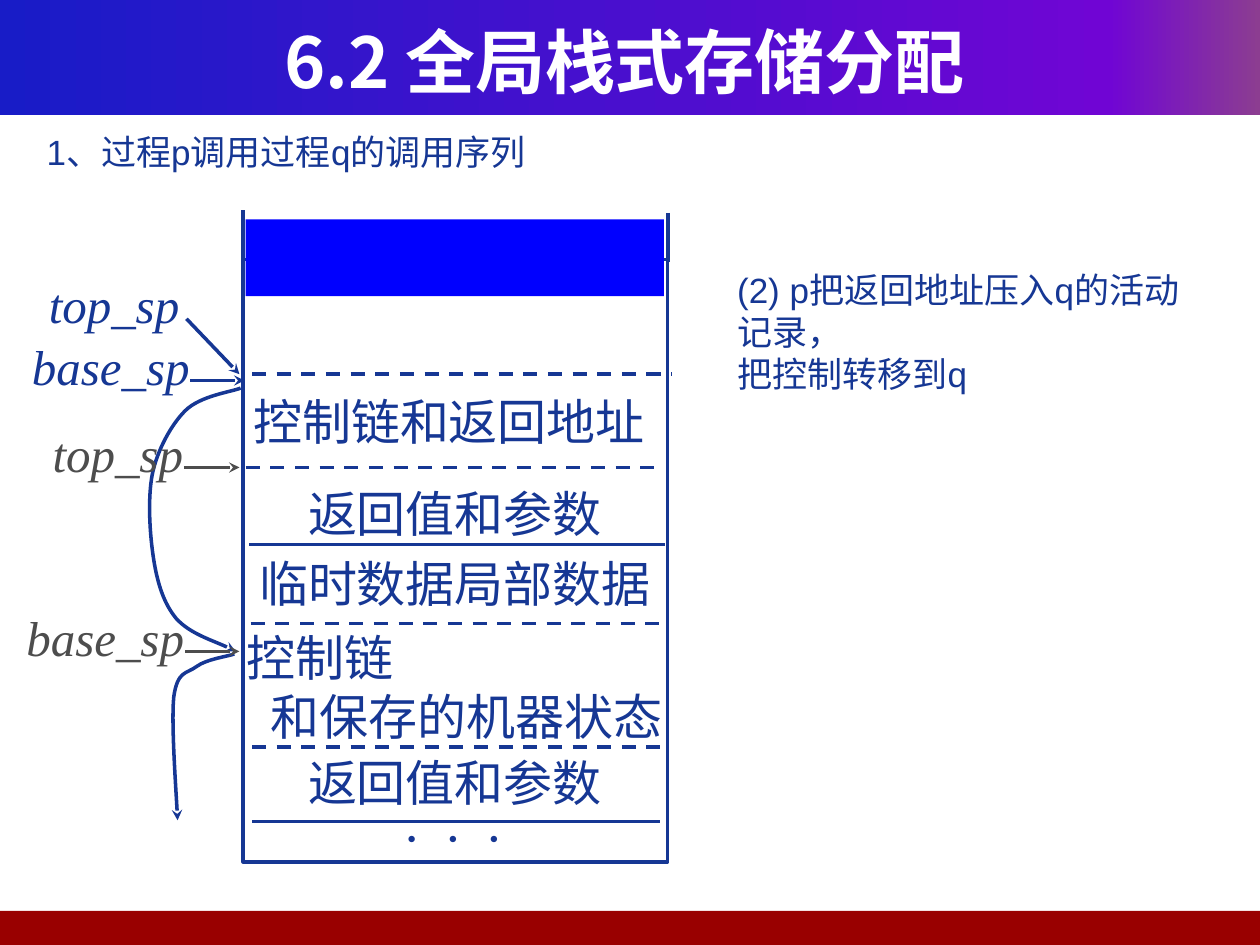
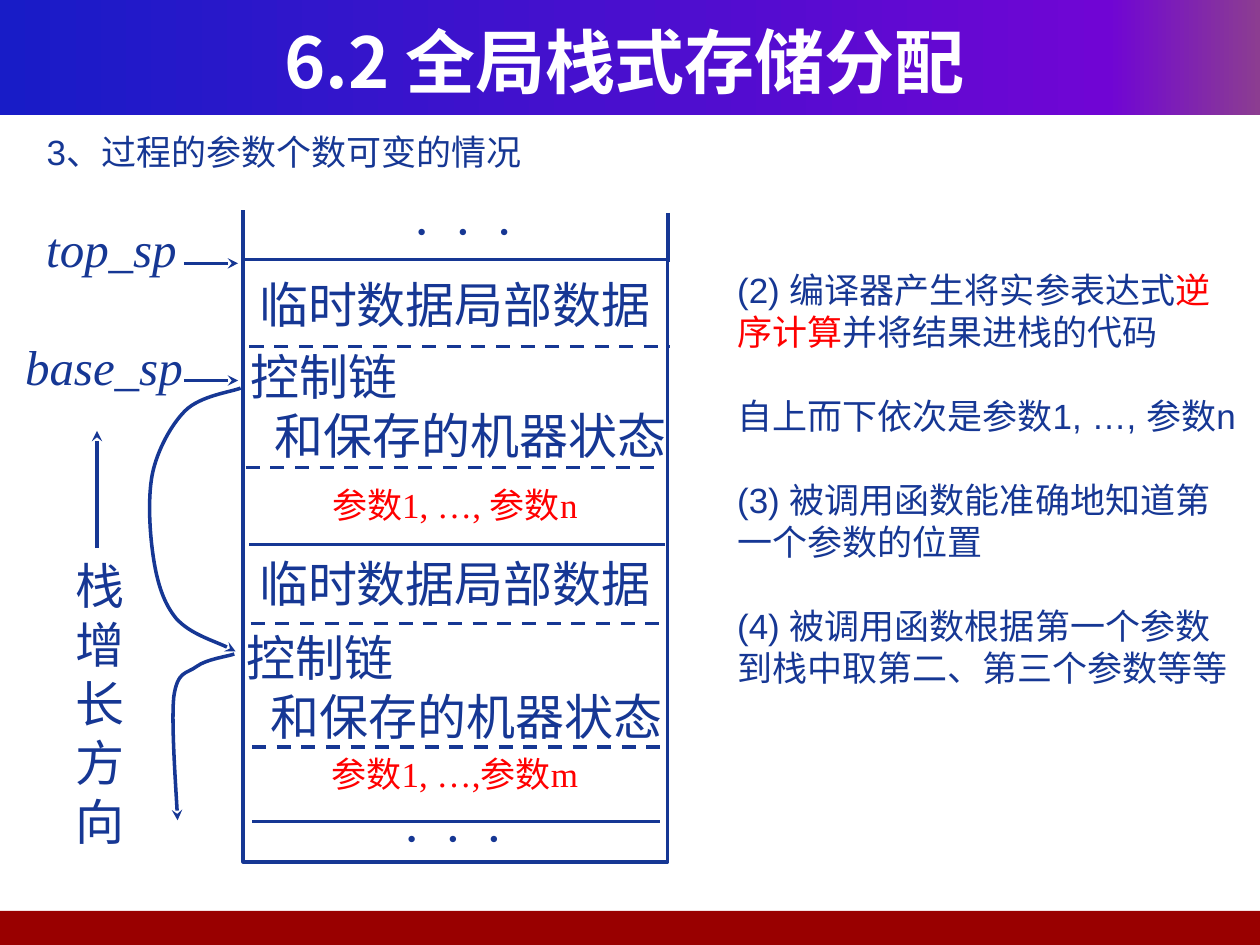
from copy import deepcopy

from lxml import etree
from pptx import Presentation
from pptx.dml.color import RGBColor
from pptx.enum.dml import MSO_LINE
from pptx.enum.shapes import MSO_CONNECTOR, MSO_SHAPE
from pptx.enum.text import MSO_ANCHOR, PP_ALIGN
from pptx.oxml.ns import qn
from pptx.util import Inches, Pt

NAVY = RGBColor(0x16, 0x37, 0x94)
GRAY = RGBColor(0x4D, 0x4D, 0x4D)
RED = RGBColor(0xFF, 0x00, 0x00)
BLUE = RGBColor(0x00, 0x00, 0xFF)
WHITE = RGBColor(0xFF, 0xFF, 0xFF)
FOOTER_RED = RGBColor(0x99, 0x00, 0x00)
HEADER_STOPS = [
    (0, RGBColor(0x18, 0x1C, 0xC7)),
    (0.88, RGBColor(0x70, 0x05, 0xD4)),
    (1, RGBColor(0x8C, 0x3D, 0x91)),
]

SANS = "Arial"
SERIF = "Times New Roman"
CJK = "Noto Sans CJK SC"

LEFT, CENTER, JUSTIFY = PP_ALIGN.LEFT, PP_ALIGN.CENTER, PP_ALIGN.JUSTIFY
MIDDLE, TOP = MSO_ANCHOR.MIDDLE, MSO_ANCHOR.TOP
RECTANGLE = MSO_SHAPE.RECTANGLE
STRAIGHT = MSO_CONNECTOR.STRAIGHT
DASH = MSO_LINE.DASH

LINE_WIDTH = Pt(2)
STACK_LEFT, STACK_RIGHT = 1.93, 5.3
STACK_TOP, STACK_HEIGHT = 2.06, 4.78

LOCALS = "临时数据局部数据"
CONTROL_LINK = ["控制链", "和保存的机器状态"]

# Start point, then three points for each Bezier segment
CALLEE_LINK = [
    (1.91, 3.08),
    (1.84, 3.11), (1.59, 3.14), (1.47, 3.26),
    (1.36, 3.37), (1.25, 3.57), (1.21, 3.76),
    (1.17, 3.96), (1.19, 4.25), (1.22, 4.44),
    (1.25, 4.63), (1.3, 4.79), (1.4, 4.91),
    (1.51, 5.03), (1.77, 5.11), (1.87, 5.17),
]
CALLER_LINK = [
    (1.86, 5.19),
    (1.81, 5.21), (1.64, 5.23), (1.56, 5.29),
    (1.48, 5.35), (1.41, 5.32), (1.38, 5.53),
    (1.36, 5.73), (1.4, 6.3), (1.41, 6.51),
]


def add_rectangle(slide, left, top, width, height, color=None):
    """Filled rectangle, or a navy outline when no colour is given."""
    shape = slide.shapes.add_shape(
        RECTANGLE, Inches(left), Inches(top), Inches(width), Inches(height))
    shape.shadow.inherit = False
    if color is None:
        shape.fill.background()
        shape.line.color.rgb = NAVY
        shape.line.width = LINE_WIDTH
    else:
        shape.fill.solid()
        shape.fill.fore_color.rgb = color
        shape.line.fill.background()
    return shape


def add_text(slide, left, top, width, height, paragraphs, size=28, font=SERIF,
             color=NAVY, align=CENTER, anchor=TOP, inset_top=0.09, wrap=True,
             bold=False, italic=False, gap=0, indent=0, tracking=0):
    """Text box; a paragraph is a string or a list of (text, colour) runs.

    The gap in points and the indent in inches apply after the first paragraph.
    """
    box = slide.shapes.add_textbox(
        Inches(left), Inches(top), Inches(width), Inches(height))
    frame = box.text_frame
    frame.word_wrap = wrap
    frame.vertical_anchor = anchor
    frame.margin_left = frame.margin_right = Inches(0.06)
    frame.margin_top, frame.margin_bottom = Inches(inset_top), Inches(0.05)
    for index, content in enumerate(paragraphs):
        paragraph = frame.add_paragraph() if index else frame.paragraphs[0]
        paragraph.alignment = align
        if index and gap:
            paragraph.space_before = Pt(gap)
        if index and indent:
            paragraph._p.get_or_add_pPr().set("marL", str(Inches(indent)))
        runs = [(content, color)] if isinstance(content, str) else content
        for text, run_color in runs:
            run = paragraph.add_run()
            run.text = text
            run.font.size = Pt(size)
            run.font.name = font
            run.font.bold = bold
            run.font.italic = italic
            run.font.color.rgb = run_color
            properties = run._r.get_or_add_rPr()
            etree.SubElement(properties, qn("a:ea")).set("typeface", CJK)
            if tracking:
                properties.set("spc", str(tracking))
    return box


def add_arrowhead(shape):
    line = shape.line._get_or_add_ln()
    etree.SubElement(line, qn("a:tailEnd")).set("type", "stealth")


def add_line(slide, start, end, color=NAVY, dashed=False, arrow=False):
    line = slide.shapes.add_connector(
        STRAIGHT, *[Inches(value) for value in (*start, *end)])
    line.line.color.rgb = color
    line.line.width = LINE_WIDTH
    if dashed:
        line.line.dash_style = DASH
    if arrow:
        add_arrowhead(line)
    etree.SubElement(line._element.spPr, qn("a:effectLst"))


def add_curve(slide, points):
    """Curved arrow: every three line segments become one Bezier segment."""
    corners = [(Inches(x), Inches(y)) for x, y in points]
    builder = slide.shapes.build_freeform(*corners[0], scale=1.0)
    builder.add_line_segments(corners[1:], close=False)
    curve = builder.convert_to_shape()
    outline = curve._element.find(".//" + qn("a:path"))
    segments = outline.findall(qn("a:lnTo"))
    for index in range(0, len(segments), 3):
        bezier = etree.SubElement(outline, qn("a:cubicBezTo"))
        for segment in segments[index:index + 3]:
            bezier.append(segment[0])
            outline.remove(segment)
    curve.shadow.inherit = False
    curve.fill.background()
    curve.line.color.rgb = NAVY
    curve.line.width = LINE_WIDTH
    add_arrowhead(curve)


def add_divider(slide, y, left=1.99, right=5.28, dashed=True):
    add_line(slide, (left, y), (right, y), dashed=dashed)


def add_ellipsis(slide, left, top):
    add_text(slide, left, top, 2.81, 0.51, ["⋅ ⋅ ⋅"], tracking=350)


def add_field(slide, top, text, **style):
    add_text(slide, 1.93, top, 3.36, 0.61, [text], **style)


def add_control_link(slide, left, top):
    add_text(slide, left, top, 3.51, 1, CONTROL_LINK,
             align=JUSTIFY, indent=0.19)


def add_pointer(slide, name, left, top, width, start, end, color=NAVY):
    """Register name with an arrow to its place in the stack."""
    add_text(slide, left, top, width, 0.61, [name], color=color, italic=True)
    add_line(slide, start, end, color=color, arrow=True)


def add_base(slide, heading):
    """Header band, footer band, title and section heading."""
    header = add_rectangle(slide, 0, 0, 10, 0.91, WHITE)
    header.fill.gradient()
    header.fill.gradient_angle = 0
    stops = header._element.find(".//" + qn("a:gsLst"))
    stops.insert(1, deepcopy(stops[0]))
    for stop, (position, color) in zip(header.fill.gradient_stops, HEADER_STOPS):
        stop.position = position
        stop.color.rgb = color
    add_rectangle(slide, -0.04, 7.23, 10.04, 0.27, FOOTER_RED)
    add_text(slide, 0.33, 0.17, 9.25, 0.62, ["6.2 全局栈式存储分配"], size=40,
             font=CJK, color=WHITE, anchor=MIDDLE, inset_top=0.05, bold=True)
    add_text(slide, 0.31, 0.99, 9.37, 5.51, [heading], size=20, font=SANS,
             align=LEFT, inset_top=0.05)


def add_stack(slide):
    """Stack outline with the caller's record, shared by both slides."""
    add_rectangle(slide, STACK_LEFT, STACK_TOP,
                  STACK_RIGHT - STACK_LEFT, STACK_HEIGHT)
    for x, top in ((STACK_LEFT, 1.67), (STACK_RIGHT, 1.69)):
        add_line(slide, (x, top), (x, top + 0.39))
    add_divider(slide, 3.71, 1.95, 5.26)
    add_divider(slide, 4.32, 1.98, dashed=False)
    add_field(slide, 4.3, LOCALS)
    add_divider(slide, 4.95)
    add_control_link(slide, 1.9, 4.89)
    add_divider(slide, 5.93, 2, 5.24)
    add_divider(slide, 6.52, 2, 5.24, dashed=False)
    add_ellipsis(slide, 2.19, 6.32)
    add_curve(slide, CALLEE_LINK)
    add_curve(slide, CALLER_LINK)


def add_notes_column(slide, width, paragraphs, gap=0):
    add_text(slide, 5.79, 2.04, width, 4.28, paragraphs, size=20, font=SANS,
             align=LEFT, gap=gap)


def build_call_sequence(slide):
    add_base(slide, "1、过程p调用过程q的调用序列")
    add_notes_column(slide, 3.69, ["(2) p把返回地址压入q的活动记录，",
                                   "把控制转移到q"])
    add_stack(slide)
    add_rectangle(slide, 1.95, 1.74, 3.32, 0.61, BLUE)
    add_divider(slide, 2.97, 2, 5.33)
    add_text(slide, 1.95, 3.02, 3.51, 1, ["控制链和返回地址"], align=JUSTIFY)
    for top in (3.75, 5.88):
        add_field(slide, top, "返回值和参数")
    add_pointer(slide, "top_sp", 0.3, 2.09, 1.21, (1.48, 2.53), (1.9, 2.97))
    add_pointer(slide, "base_sp", 0.1, 2.58, 1.56, (1.51, 3.02), (1.94, 3.02))
    add_pointer(slide, "top_sp", 0.28, 3.27, 1.31, (1.46, 3.71), (1.9, 3.71), GRAY)
    add_pointer(slide, "base_sp", 0.12, 4.73, 1.43, (1.47, 5.17), (1.9, 5.17), GRAY)


def build_variable_arguments(slide):
    add_base(slide, "3、过程的参数个数可变的情况")
    add_stack(slide)
    add_ellipsis(slide, 2.27, 1.5)
    add_field(slide, 2.09, LOCALS)
    add_divider(slide, 2.75, 1.98, 5.31)
    add_control_link(slide, 1.93, 2.66)
    add_field(slide, 3.75, "参数1, …, 参数n", size=20, color=RED)
    add_field(slide, 5.88, "参数1, …,参数m", size=20, color=RED)
    add_pointer(slide, "top_sp", 0.28, 1.64, 1.21, (1.46, 2.09), (1.89, 2.09))
    add_pointer(slide, "base_sp", 0.11, 2.58, 1.43, (1.46, 3.02), (1.89, 3.02))
    add_text(slide, 0.42, 4.4, 0.74, 2.36, list("栈增长方向"),
             anchor=MIDDLE, inset_top=0.05, wrap=False)
    add_line(slide, (0.77, 4.35), (0.77, 3.42), arrow=True)
    add_notes_column(slide, 4.09, [
        [("(2) 编译器产生将实参表达式", NAVY), ("逆序计算", RED),
         ("并将结果进栈的代码", NAVY)],
        "自上而下依次是参数1, …, 参数n",
        "(3) 被调用函数能准确地知道第一个参数的位置",
        "(4) 被调用函数根据第一个参数到栈中取第二、第三个参数等等",
    ], gap=24)


def main():
    presentation = Presentation()
    presentation.slide_width = Inches(10)
    presentation.slide_height = Inches(7.5)
    blank = presentation.slide_layouts[6]
    for build in (build_call_sequence, build_variable_arguments):
        build(presentation.slides.add_slide(blank))
    presentation.save("out.pptx")


if __name__ == "__main__":
    main()
